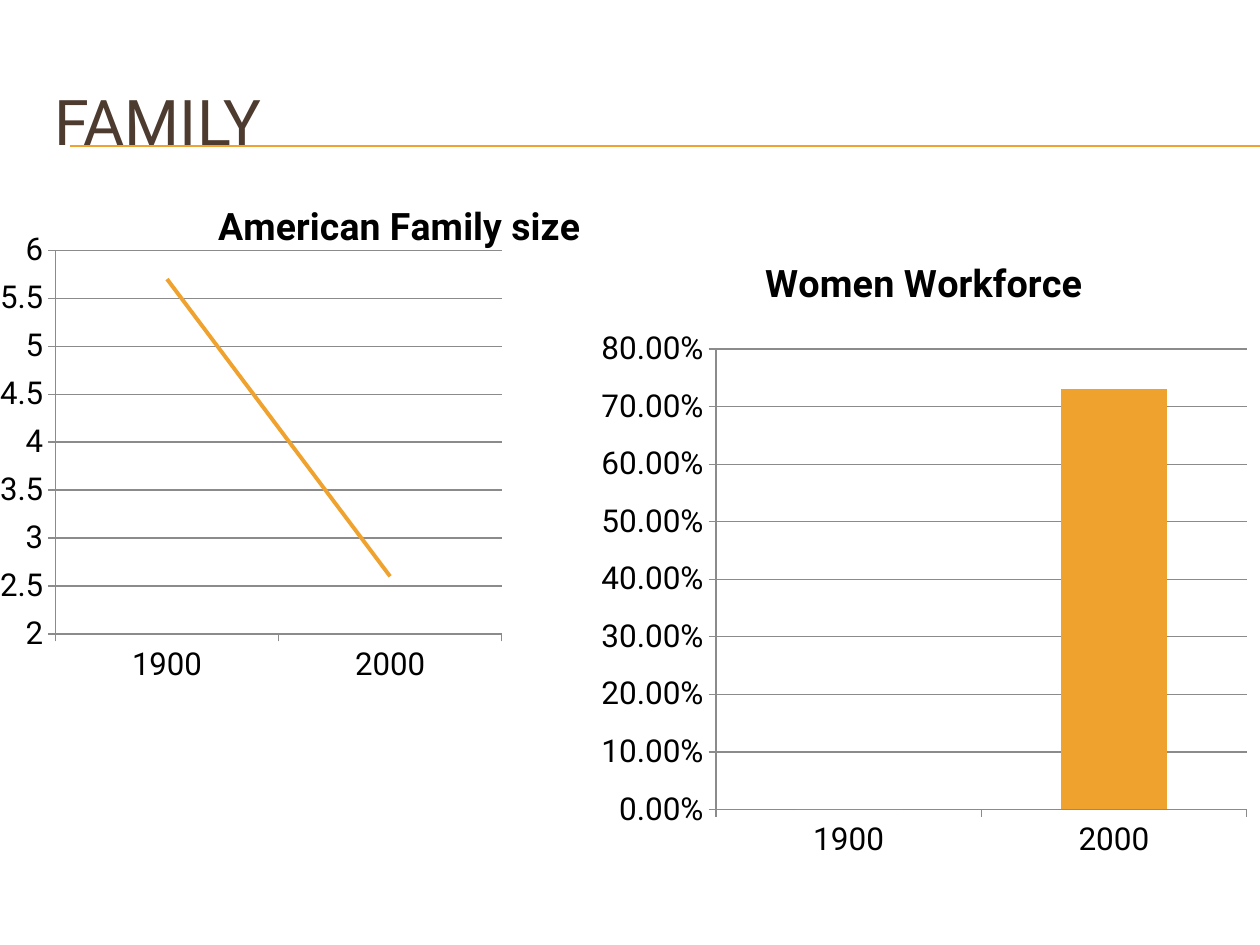
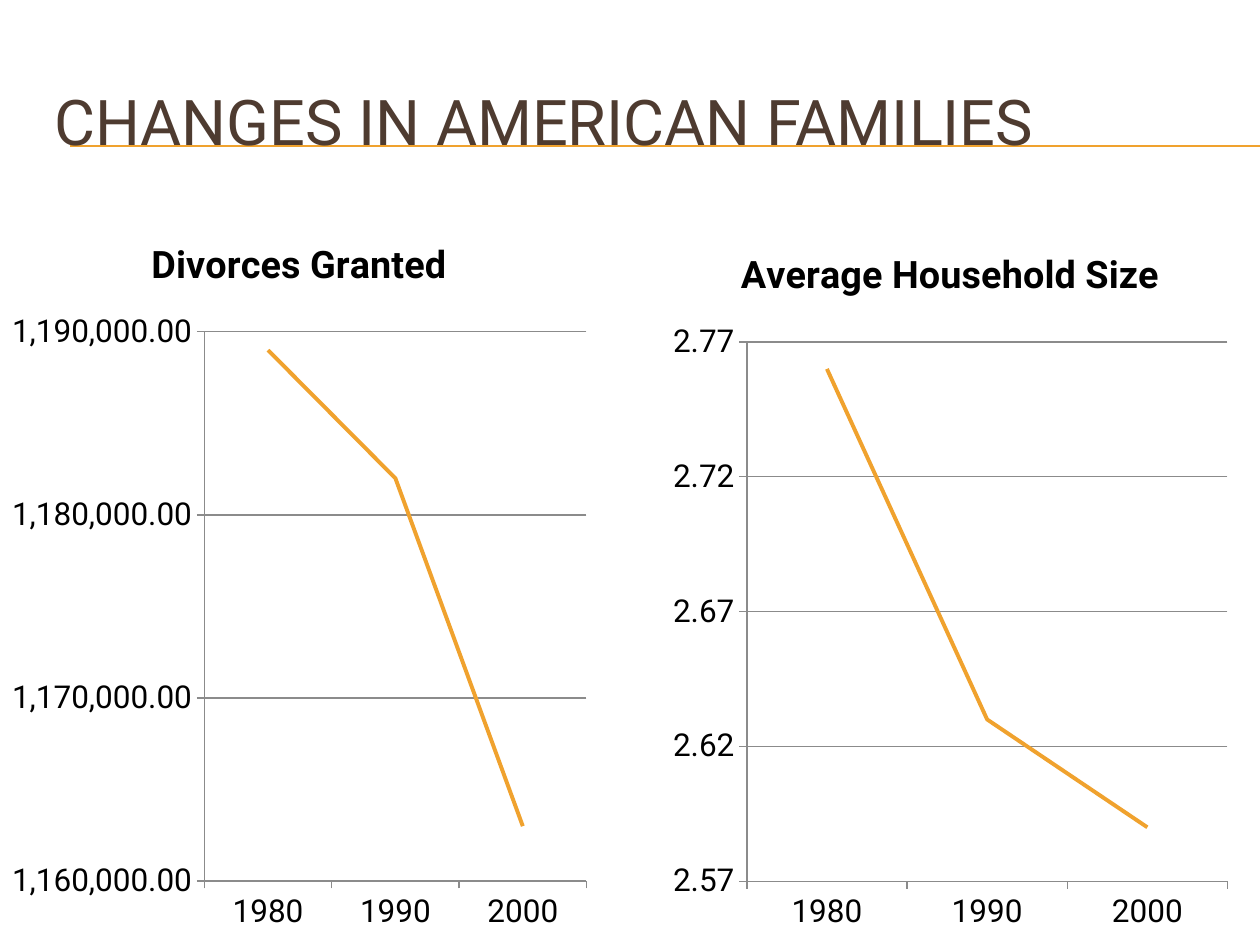
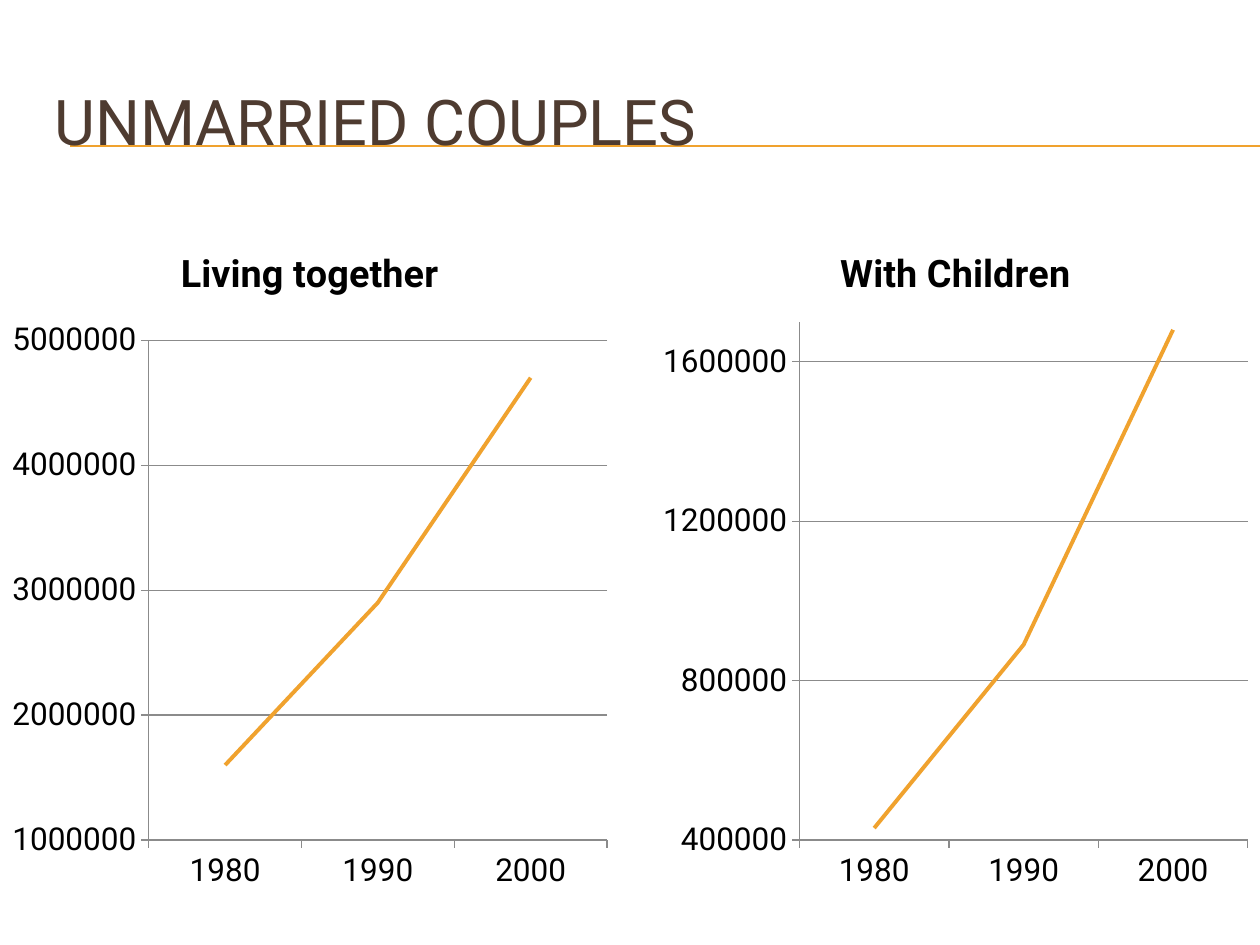
from dataclasses import dataclass
from typing import Optional

from pptx import Presentation
from pptx.chart.chart import Chart
from pptx.chart.data import CategoryChartData
from pptx.dml.color import RGBColor
from pptx.enum.chart import XL_CHART_TYPE, XL_TICK_MARK
from pptx.enum.shapes import MSO_CONNECTOR
from pptx.enum.text import MSO_ANCHOR
from pptx.oxml.ns import qn
from pptx.oxml.xmlchemy import OxmlElement
from pptx.slide import Slide
from pptx.text.text import Font
from pptx.util import Pt

HUES = {"accent": "F0A22E", "title": "4E3B30", "text": "000000", "grid": "8B8B8B"}
FACE = "Roboto"
WIDE, HIGH = 720, 540
RULES = (83, 83.5)
YEARS = ("1980", "1990", "2000")
ENDS = ("1900", "2000")


@dataclass(frozen=True)
class Graph:
    title: str
    box: tuple[float, float, float, float]
    cats: tuple[str, ...]
    vals: tuple[float, ...]
    low: Optional[float] = None
    high: Optional[float] = None
    step: Optional[float] = None
    form: str = "General"
    name: str = "Series 1"
    bars: bool = False
    plot: Optional[dict[str, float]] = None
    head: Optional[dict[str, float]] = None


@dataclass(frozen=True)
class Page:
    title: str
    graphs: tuple[Graph, ...]


PAGES = (
    Page("FAMILY", (
        Graph("American Family size", (0, 102, 492, 300), ENDS, (5.7, 2.6), low=2,
              plot={"x": 0.054, "y": 0.137, "w": 0.524, "h": 0.731},
              head={"x": 0.237, "y": 0.03}),
        Graph("Women Workforce", (336, 132, 384, 366), ENDS, (0, 0.73),
              form="0.00%", bars=True),
    )),
    Page("CHANGES IN AMERICAN FAMILIES", (
        Graph("Divorces Granted", (0, 120, 342, 420), YEARS,
              (1189000, 1182000, 1163000), low=1160000, high=1190000, step=10000,
              form="#,##0.00", name="Divorces Granted"),
        Graph("Average Household Size", (378, 126, 330, 414), YEARS,
              (2.76, 2.63, 2.59), low=2.57, step=0.05),
    )),
    Page("UNMARRIED COUPLES", (
        Graph("Living together", (0, 126, 354, 390), YEARS,
              (1600000, 2900000, 4700000), low=1000000, step=1000000),
        Graph("With Children", (372, 126, 348, 390), YEARS,
              (430000, 890000, 1680000), low=400000, high=1700000, step=400000),
    )),
)


def shade(hue: str) -> RGBColor:
    return RGBColor.from_string(HUES[hue])


def style(font: Font, size: float, hue: str, bold: bool = False) -> None:
    font.name = FACE
    font.size = Pt(size)
    font.bold = bold
    font.color.rgb = shade(hue)


def place(node, spots: dict[str, float], inner: bool = False) -> None:
    """Fix a chart part at fractions of the chart's size."""
    frame = node.find(qn("c:layout"))
    if frame is None:
        frame = OxmlElement("c:layout")
        node.insert(0, frame)
    manual = OxmlElement("c:manualLayout")
    frame.append(manual)
    parts = {"layoutTarget": "inner"} if inner else {}
    parts |= {"xMode": "edge", "yMode": "edge"} | spots
    for tag, val in parts.items():
        part = OxmlElement(f"c:{tag}")
        part.set("val", str(val))
        manual.append(part)


def draw_rule(slide: Slide, top: float) -> None:
    rule = slide.shapes.add_connector(
        MSO_CONNECTOR.STRAIGHT, Pt(40), Pt(top), Pt(WIDE), Pt(top))
    rule.line.color.rgb = shade("accent")
    rule.line.width = Pt(0.75)
    rule._element.spPr.append(OxmlElement("a:effectLst"))


def draw_title(slide: Slide, text: str) -> None:
    frame = slide.shapes.add_textbox(Pt(24), Pt(36), Pt(684), Pt(66)).text_frame
    frame.word_wrap = True
    frame.vertical_anchor = MSO_ANCHOR.MIDDLE
    run = frame.paragraphs[0].add_run()
    run.text = text
    style(run.font, 36, "title")


def style_axes(chart: Chart, graph: Graph) -> None:
    for axis in (chart.category_axis, chart.value_axis):
        axis.major_tick_mark = XL_TICK_MARK.OUTSIDE
        axis.minor_tick_mark = XL_TICK_MARK.NONE
        axis.format.line.color.rgb = shade("grid")
        axis.format.line.width = Pt(0.75)
    scale = chart.value_axis
    scale.minimum_scale = graph.low
    scale.maximum_scale = graph.high
    scale.major_unit = graph.step
    scale.tick_labels.number_format = graph.form
    scale.tick_labels.number_format_is_linked = False
    scale.has_major_gridlines = True
    grid = scale.major_gridlines.format.line
    grid.color.rgb = shade("grid")
    grid.width = Pt(0.75)


def draw_graph(slide: Slide, graph: Graph) -> None:
    data = CategoryChartData(number_format=graph.form)
    data.categories = graph.cats
    data.add_series(graph.name, graph.vals)
    kind = XL_CHART_TYPE.COLUMN_STACKED if graph.bars else XL_CHART_TYPE.LINE
    chart = slide.shapes.add_chart(kind, *map(Pt, graph.box), data).chart
    style(chart.font, 18, "text")
    chart.has_legend = False

    chart.has_title = True
    title = chart.chart_title
    title.include_in_layout = False
    run = title.text_frame.paragraphs[0].add_run()
    run.text = graph.title
    style(run.font, 21.6, "text", bold=True)
    style_axes(chart, graph)

    plot = chart.plots[0]
    plot.vary_by_categories = False
    series = plot.series[0]
    if graph.bars:
        plot.gap_width = 150
        plot.overlap = 100
        series.format.fill.solid()
        series.format.fill.fore_color.rgb = shade("accent")
    else:
        series.smooth = False
        series.format.line.color.rgb = shade("accent")
        series.format.line.width = Pt(2.25)
    if graph.plot:
        place(chart._chartSpace.chart.plotArea, graph.plot, inner=True)
    if graph.head:
        place(title._element, graph.head)


def main() -> None:
    deck = Presentation()
    deck.slide_width, deck.slide_height = Pt(WIDE), Pt(HIGH)
    for page in PAGES:
        slide = deck.slides.add_slide(deck.slide_layouts[6])
        for top in RULES:
            draw_rule(slide, top)
        draw_title(slide, page.title)
        for graph in page.graphs:
            draw_graph(slide, graph)
    deck.save("out.pptx")


if __name__ == "__main__":
    main()
